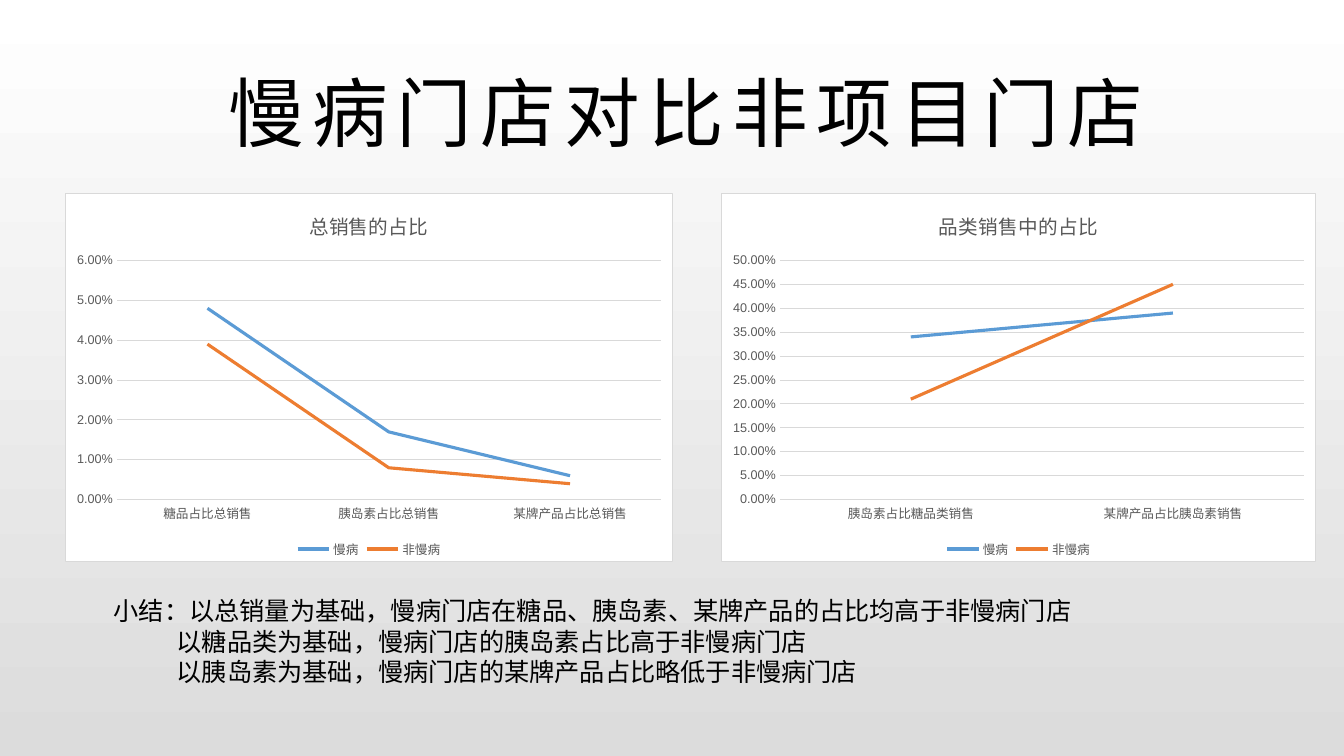
from dataclasses import dataclass

from lxml import etree
from pptx import Presentation
from pptx import util as u
from pptx.chart import data as chart_data
from pptx.dml.color import RGBColor
from pptx.enum import chart as chart_enum
from pptx.enum import text as text_enum
from pptx.oxml import parse_xml
from pptx.oxml.ns import nsdecls

COLORS = {
    "white": "FFFFFF",
    "backdrop": "DCDCDC",
    "black": "000000",
    "label": "595959",
    "grid": "D9D9D9",
    "慢病": "5B9BD5",
    "非慢病": "ED7D31",
}
FONT = "Arial"


@dataclass
class LinePanel:
    title: str
    left: float
    width: float
    categories: list[str]
    series: dict[str, list[float]]
    maximum: float
    step: float


PANELS = [
    LinePanel("总销售的占比", 46.08, 434.88,
              ["糖品占比总销售", "胰岛素占比总销售", "某牌产品占比总销售"],
              {"慢病": [0.048, 0.017, 0.006], "非慢病": [0.039, 0.008, 0.004]},
              0.06, 0.01),
    LinePanel("品类销售中的占比", 514.8, 425.52,
              ["胰岛素占比糖品类销售", "某牌产品占比胰岛素销售"],
              {"慢病": [0.34, 0.39], "非慢病": [0.21, 0.45]},
              0.5, 0.05),
]
PANEL_TOP, PANEL_HEIGHT = 137.52, 264.24

SUMMARY = [
    "小结：以总销量为基础，慢病门店在糖品、胰岛素、某牌产品的占比均高于非慢病门店",
    "以糖品类为基础，慢病门店的胰岛素占比高于非慢病门店",
    "以胰岛素为基础，慢病门店的某牌产品占比略低于非慢病门店",
]
SUMMARY_INDENT = 45


def rgb(name: str) -> RGBColor:
    return RGBColor.from_string(COLORS[name])


def format_font(font, size: float, color: str) -> None:
    font.name = FONT
    font.size = u.Pt(size)
    font.bold = False
    font.color.rgb = rgb(color)


def format_line(line, color: str, width: float) -> None:
    line.color.rgb = rgb(color)
    line.width = u.Pt(width)


def write_text(paragraph, text: str, *, size: float, color: str = "black",
               align=None, indent: float = 0, tracking: float = 0) -> None:
    if indent:
        paragraph._p.get_or_add_pPr().set("marL", str(u.Pt(indent)))
    if align is not None:
        paragraph.alignment = align
    run = paragraph.add_run()
    run.text = text
    format_font(run.font, size, color)
    if tracking:
        run.font._element.set("spc", str(round(tracking * 100)))


def frame_chart(chart) -> None:
    """Give the chart area a white fill and a thin border."""
    properties = parse_xml(
        f'<c:spPr {nsdecls("c", "a")}>'
        f'<a:solidFill><a:srgbClr val="{COLORS["white"]}"/></a:solidFill>'
        f'<a:ln w="{u.Pt(0.75)}"><a:solidFill>'
        f'<a:srgbClr val="{COLORS["grid"]}"/></a:solidFill></a:ln></c:spPr>')
    text_properties = chart._chartSpace.find(
        etree.QName(chart._chartSpace.nsmap["c"], "txPr").text)
    text_properties.addprevious(properties)


def add_panel(slide, panel: LinePanel) -> None:
    values = chart_data.CategoryChartData(number_format="0.00%")
    values.categories = panel.categories
    for name, shares in panel.series.items():
        values.add_series(name, shares)
    chart = slide.shapes.add_chart(
        chart_enum.XL_CHART_TYPE.LINE, u.Pt(panel.left), u.Pt(PANEL_TOP),
        u.Pt(panel.width), u.Pt(PANEL_HEIGHT), values).chart
    format_font(chart.font, 10, "black")
    frame_chart(chart)

    # Title and legend
    chart.has_title = True
    write_text(chart.chart_title.text_frame.paragraphs[0], panel.title,
               size=14, color="label")
    chart.chart_title.include_in_layout = False
    chart.has_legend = True
    chart.legend.position = chart_enum.XL_LEGEND_POSITION.BOTTOM
    chart.legend.include_in_layout = False
    format_font(chart.legend.font, 9, "label")

    # Axes
    for axis in (chart.category_axis, chart.value_axis):
        axis.major_tick_mark = chart_enum.XL_TICK_MARK.NONE
        axis.minor_tick_mark = chart_enum.XL_TICK_MARK.NONE
        format_font(axis.tick_labels.font, 9, "label")
    format_line(chart.category_axis.format.line, "grid", 0.75)
    value_axis = chart.value_axis
    value_axis.format.line.fill.background()
    value_axis.minimum_scale = 0
    value_axis.maximum_scale = panel.maximum
    value_axis.major_unit = panel.step
    value_axis.tick_labels.number_format = "0.00%"
    value_axis.tick_labels.number_format_is_linked = False
    format_line(value_axis.major_gridlines.format.line, "grid", 0.75)

    # Series
    chart.plots[0].vary_by_categories = False
    for series in chart.plots[0].series:
        series.smooth = False
        series.marker.style = chart_enum.XL_MARKER_STYLE.NONE
        format_line(series.format.line, series.name, 2.25)


def add_background(slide) -> None:
    fill = slide.background.fill
    fill.gradient()
    fill.gradient_angle = 270
    for stop, position, color in zip(fill.gradient_stops, (0, 1),
                                     ("white", "backdrop")):
        stop.position = position
        stop.color.rgb = rgb(color)


def add_title(slide) -> None:
    title = slide.shapes.title
    title.left, title.top = u.Pt(63.36), u.Pt(43.92)
    title.width, title.height = u.Pt(848.16), u.Pt(55.44)
    frame = title.text_frame
    frame.auto_size = text_enum.MSO_AUTO_SIZE.NONE
    frame.vertical_anchor = text_enum.MSO_ANCHOR.TOP
    frame.margin_left, frame.margin_right = u.Pt(8), u.Pt(2)
    frame.margin_top = frame.margin_bottom = u.Pt(3)
    write_text(frame.paragraphs[0], "慢病门店对比非项目门店", size=54,
               align=text_enum.PP_ALIGN.CENTER, tracking=6)


def add_summary(slide) -> None:
    box = slide.shapes.add_textbox(u.Pt(74.16), u.Pt(421.92),
                                   u.Pt(866.16), u.Pt(91.44))
    frame = box.text_frame
    frame.word_wrap = True
    for number, line in enumerate(SUMMARY):
        paragraph = frame.add_paragraph() if number else frame.paragraphs[0]
        write_text(paragraph, line, size=18,
                   indent=SUMMARY_INDENT if number else 0)


def main() -> None:
    presentation = Presentation()
    presentation.slide_width, presentation.slide_height = u.Pt(960), u.Pt(540)
    slide = presentation.slides.add_slide(presentation.slide_layouts[5])
    add_background(slide)
    add_title(slide)
    for panel in PANELS:
        add_panel(slide, panel)
    add_summary(slide)
    presentation.save("out.pptx")


if __name__ == "__main__":
    main()
